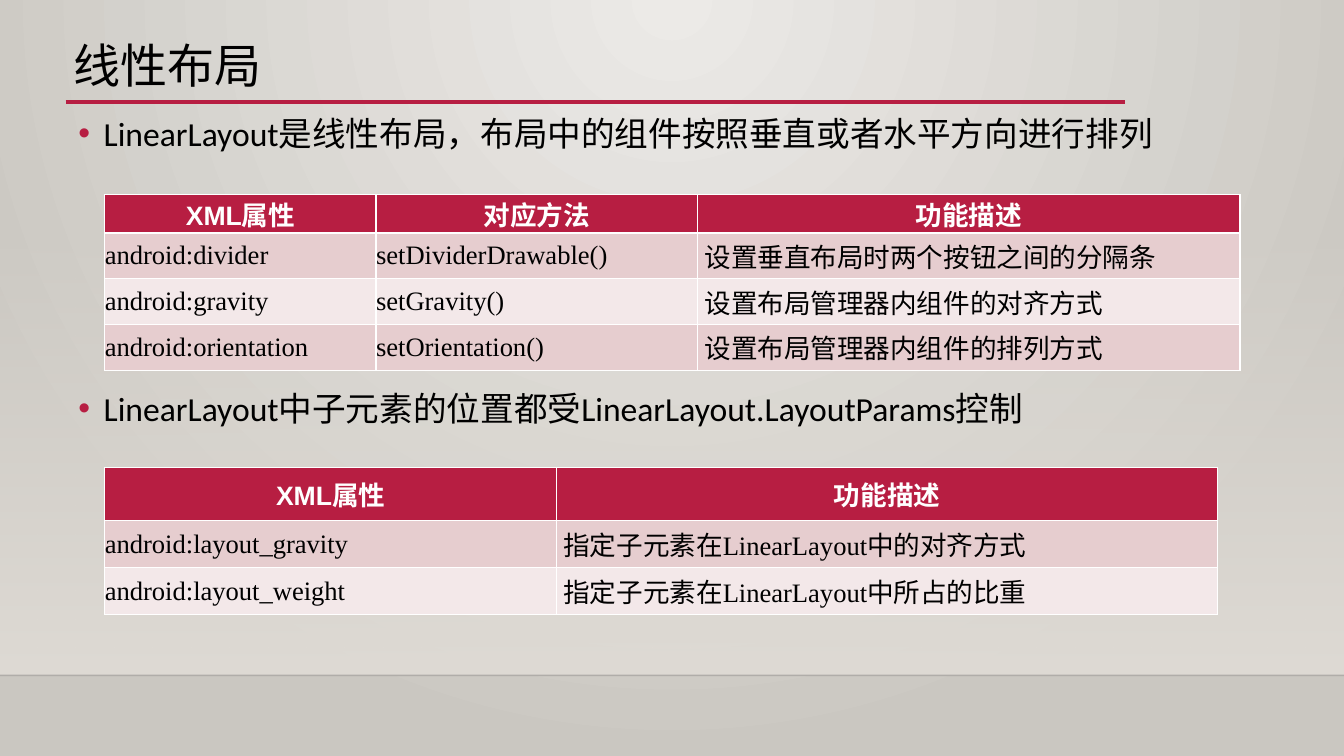
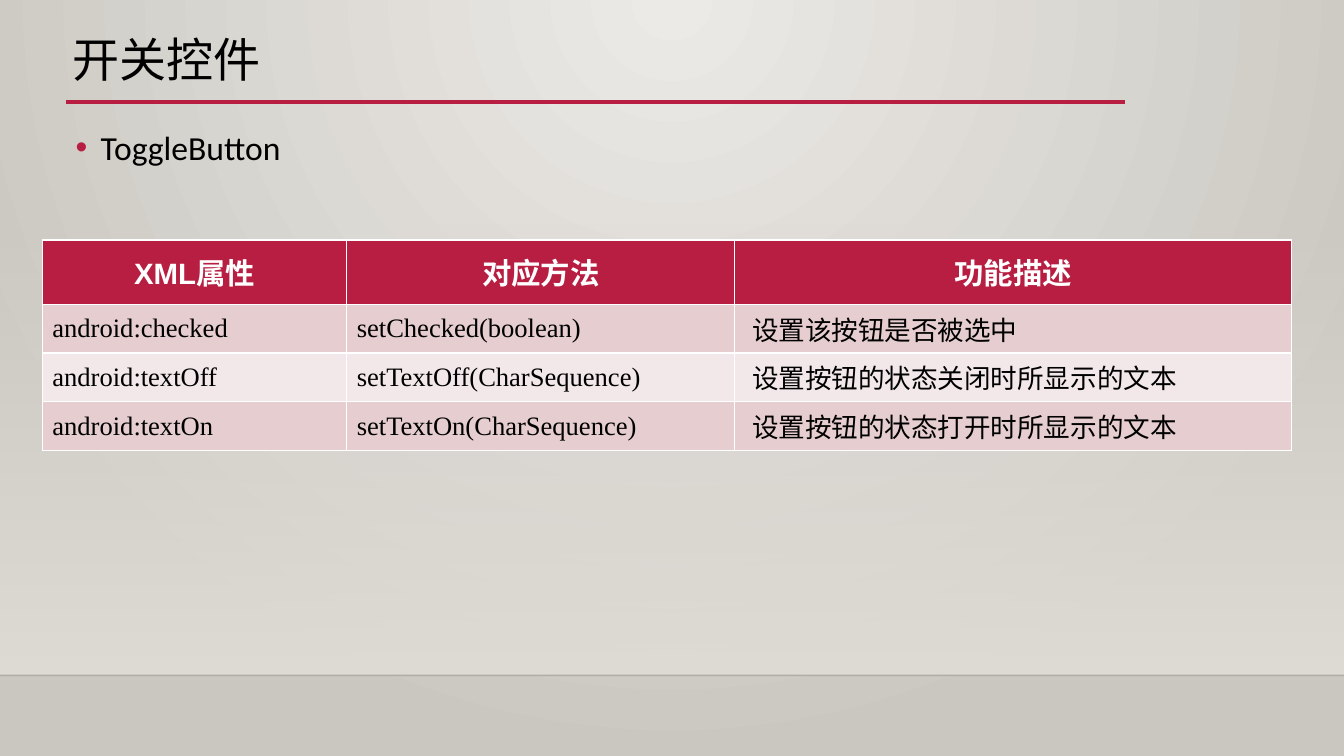
import pptx
import pptx.dml.color
import pptx.enum.shapes
import pptx.enum.text
import pptx.oxml
import pptx.oxml.ns
import pptx.util

Pt = pptx.util.Pt
Align = pptx.enum.text.PP_ALIGN
Anchor = pptx.enum.text.MSO_ANCHOR
qn = pptx.oxml.ns.qn

CRIMSON, BLACK, WHITE = "B71E42", "000000", "FFFFFF"
ROW_TINTS = ("E6CDCF", "F3E8E9")
BACKDROP = ("ECEAE7", "CAC7C1")
BAND = "DFDBD5"
FLOOR_LINE = "000001"
HAN_FONT = "Noto Sans CJK SC"


def rgb(code):
    return pptx.dml.color.RGBColor.from_string(code)


def element(tag, content="", **attributes):
    """Make a drawing element with the given inner XML."""
    listed = "".join(f' {name}="{value}"' for name, value in attributes.items())
    namespace = pptx.oxml.ns.nsdecls("a")
    return pptx.oxml.parse_xml(f"<a:{tag} {namespace}{listed}>{content}</a:{tag}>")


def gradient(fill, colors):
    fill.gradient()
    for stop, color in zip(fill.gradient_stops, colors):
        stop.color.rgb = rgb(color)


def set_alpha(owner, percent):
    """Make the first colour inside the XML owner translucent."""
    color = next(owner.iter(qn("a:srgbClr")))
    color.append(element("alpha", val=percent * 1000))


class Deck:
    """Holds the style and the current page; lengths are percent of the slide."""

    def __init__(self):
        self.file = pptx.Presentation()
        self.file.slide_width = pptx.util.Inches(13.33)
        self.file.slide_height = pptx.util.Inches(7.5)
        self.page = None
        master = self.file.slide_master
        gradient(master.background.fill, BACKDROP)
        grad = next(master.element.iter(qn("a:gradFill")))
        focus = '<a:fillToRect l="43000" r="43000" b="100000"/>'
        grad.replace(grad.find(qn("a:lin")), element("path", focus, path="circle"))

    def x(self, share):
        return round(self.file.slide_width * share / 100)

    def y(self, share):
        return round(self.file.slide_height * share / 100)

    def area(self, left, top, width, height):
        return self.x(left), self.y(top), self.x(width), self.y(height)

    def start_page(self, title, left, top, width):
        self.page = self.file.slides.add_slide(self.file.slide_layouts[5])
        self.band(29.47, 89.33)
        self.line(0, 100, 89.33, FLOOR_LINE, 1, alpha=20)
        self.line(4.88, 83.7, 13.5, CRIMSON, 2.5)
        box = self.page.shapes.title
        box.left, box.top, box.width, box.height = self.area(left, top, width, 8)
        frame = box.text_frame
        frame.text = title
        frame.auto_size = pptx.enum.text.MSO_AUTO_SIZE.NONE
        frame.vertical_anchor = Anchor.MIDDLE
        para = frame.paragraphs[0]
        para.alignment = Align.LEFT
        para.line_spacing = 0.9
        self.style(para, HAN_FONT, 33.6)

    def style(self, para, font, size, color=BLACK, bold=False):
        for span in para.runs:
            span.font.name = font
            span.font.size = Pt(size)
            span.font.bold = bold
            span.font.color.rgb = rgb(color)
            latin = span.font._element.find(qn("a:latin"))
            latin.addnext(element("ea", typeface=HAN_FONT))

    def band(self, top, bottom):
        """Full-width band that fades in downwards."""
        shape = self.page.shapes.add_shape(
            pptx.enum.shapes.MSO_SHAPE.RECTANGLE, *self.area(0, top, 100, bottom - top))
        shape.shadow.inherit = False
        shape.line.fill.background()
        gradient(shape.fill, (BAND, BAND))
        shape.fill.gradient_angle = 270
        set_alpha(shape.element.spPr, 0)

    def line(self, left, right, level, color, weight, alpha=None):
        line = self.page.shapes.add_connector(
            pptx.enum.shapes.MSO_CONNECTOR.STRAIGHT,
            self.x(left), self.y(level), self.x(right), self.y(level))
        line.line.color.rgb = rgb(color)
        line.line.width = Pt(weight)
        properties = line._element.spPr
        if alpha is not None:
            set_alpha(properties, alpha)
        properties.append(element("effectLst"))

    def bullet(self, text, left, top):
        box = self.page.shapes.add_textbox(*self.area(left, top, 89.8, 7.73))
        box.text_frame.word_wrap = True
        box.text_frame.text = text
        para = box.text_frame.paragraphs[0]
        indent = pptx.util.Inches(0.25)
        properties = para._p.get_or_add_pPr()
        properties.set("marL", str(indent))
        properties.set("indent", str(-indent))
        properties.append(element("buClr", f'<a:srgbClr val="{CRIMSON}"/>'))
        properties.append(element("buFont", typeface="Arial"))
        properties.append(element("buChar", char="•"))
        self.style(para, "Calibri", 24)

    def table(self, left, top, widths, header_height, row_height, rows,
              header_size=19, inset=0):
        """Draw a table whose first row is the header and last column Chinese."""
        heights = [header_height] + [row_height] * (len(rows) - 1)
        table = self.page.shapes.add_table(
            len(rows), len(widths),
            *self.area(left, top, sum(widths), sum(heights))).table
        table.horz_banding = False
        for column, width in zip(table.columns, widths):
            column.width = self.x(width)
        for index, (row, height, texts) in enumerate(zip(table.rows, heights, rows)):
            row.height = self.y(height)
            for cell, text in zip(row.cells, texts):
                described = text is texts[-1]
                if index == 0:
                    self.cell(cell, text, CRIMSON, 0)
                    para = cell.text_frame.paragraphs[0]
                    para.alignment = Align.CENTER
                    self.style(para, "Arial", header_size, WHITE, bold=True)
                    continue
                self.cell(cell, text, ROW_TINTS[(index - 1) % 2], inset)
                para = cell.text_frame.paragraphs[0]
                if described:
                    para.alignment = Align.JUSTIFY
                    para._p.get_or_add_pPr().set("marL", str(pptx.util.Inches(0.07)))
                self.style(para, "Times New Roman", 19)

    def cell(self, cell, text, fill, inset):
        cell.text_frame.text = text
        cell.vertical_anchor = Anchor.MIDDLE
        cell.margin_left = cell.margin_right = pptx.util.Inches(inset)
        cell.margin_top = cell.margin_bottom = 0
        border = f'<a:solidFill><a:srgbClr val="{WHITE}"/></a:solidFill>'
        for side in ("lnL", "lnR", "lnT", "lnB"):
            cell._tc.get_or_add_tcPr().append(element(side, border, w=Pt(1)))
        cell.fill.solid()
        cell.fill.fore_color.rgb = rgb(fill)


def main():
    deck = Deck()
    header = ("XML属性", "对应方法", "功能描述")

    deck.start_page("线性布局", 4.73, 5.07, 61.4)
    deck.bullet("LinearLayout是线性布局，布局中的组件按照垂直或者水平方向进行排列", 5.1, 14.27)
    deck.table(7.8, 25.75, (20.18, 23.93, 40.36), 5.07, 6.06, (
        header,
        ("android:divider", "setDividerDrawable()", "设置垂直布局时两个按钮之间的分隔条"),
        ("android:gravity", "setGravity()", "设置布局管理器内组件的对齐方式"),
        ("android:orientation", "setOrientation()", "设置布局管理器内组件的排列方式"),
    ))
    deck.bullet("LinearLayout中子元素的位置都受LinearLayout.LayoutParams控制", 5.1, 50.67)
    deck.table(7.8, 61.87, (33.6, 49.2), 7, 6.22, (
        (header[0], header[-1]),
        ("android:layout_gravity", "指定子元素在LinearLayout中的对齐方式"),
        ("android:layout_weight", "指定子元素在LinearLayout中所占的比重"),
    ))

    deck.start_page("开关控件", 4.65, 4.27, 66.8)
    deck.table(3.15, 31.75, (22.65, 28.88, 41.4), 8.5, 6.45, (
        header,
        ("android:checked", "setChecked(boolean)", "设置该按钮是否被选中"),
        ("android:textOff", "setTextOff(CharSequence)", "设置按钮的状态关闭时所显示的文本"),
        ("android:textOn", "setTextOn(CharSequence)", "设置按钮的状态打开时所显示的文本"),
    ), header_size=21, inset=0.1)
    deck.bullet("ToggleButton", 4.88, 16.1)

    deck.file.save("out.pptx")


if __name__ == "__main__":
    main()
